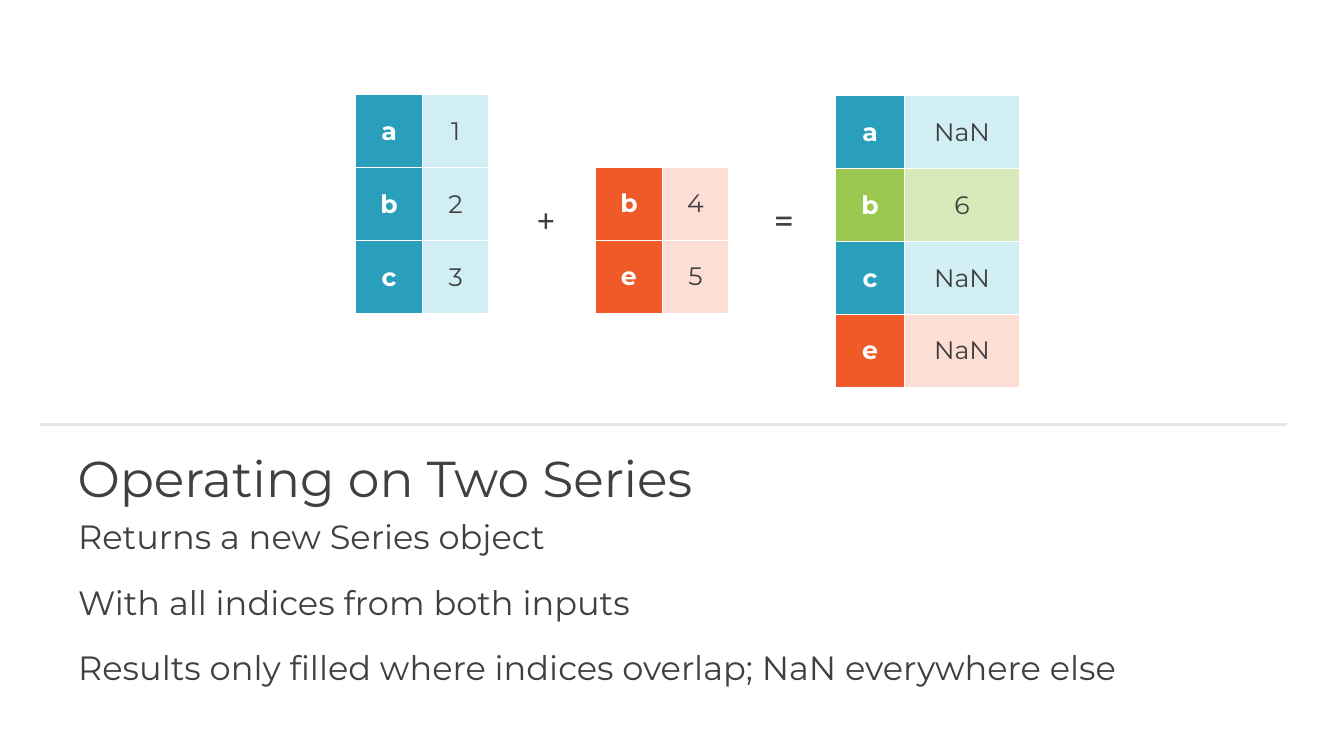
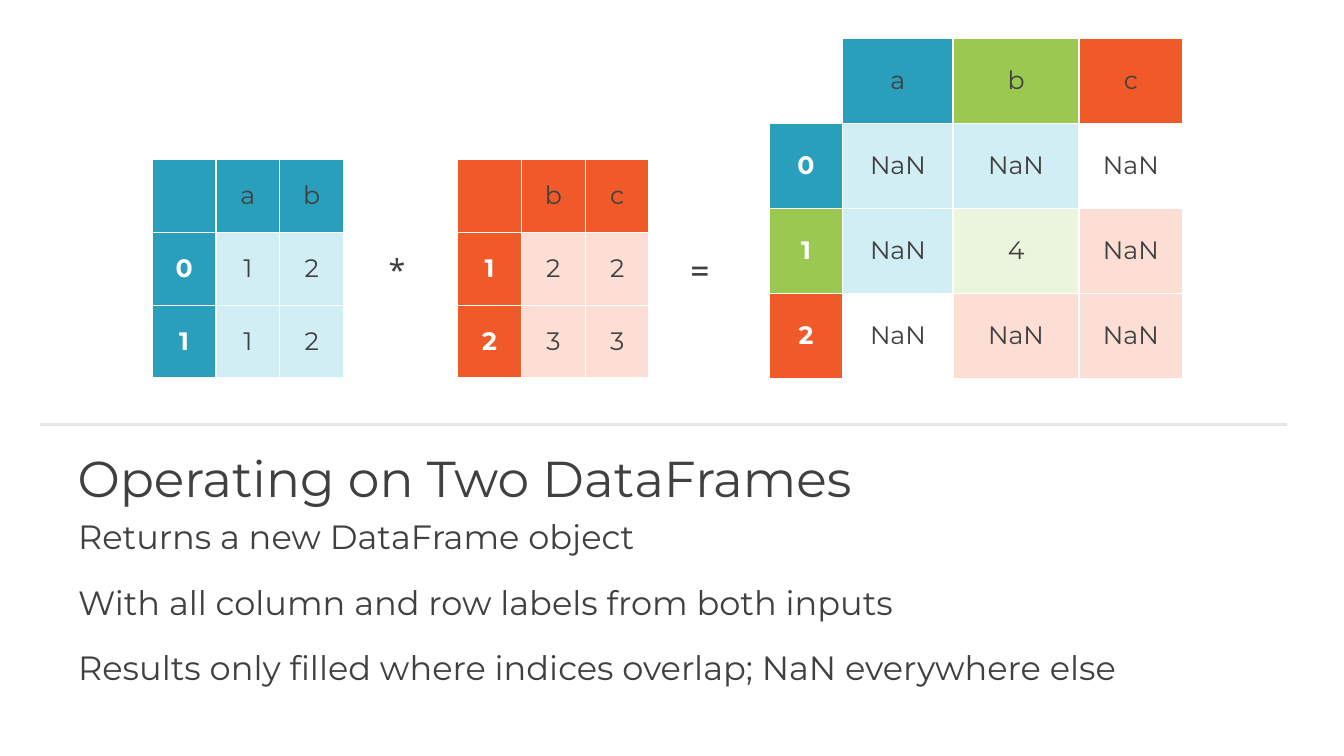
from dataclasses import dataclass, field

from lxml import etree
from pptx import Presentation
from pptx.dml.color import RGBColor
from pptx.enum import shapes, text as txt
from pptx.oxml import ns
from pptx.util import Pt

LEFT, MID = txt.PP_ALIGN.LEFT, txt.PP_ALIGN.CENTER
TOP, CORE, BASE = (txt.MSO_ANCHOR.TOP, txt.MSO_ANCHOR.MIDDLE,
                   txt.MSO_ANCHOR.BOTTOM)


@dataclass(frozen=True)
class Theme:
    font: str = "Montserrat"
    mono: str = "Noto Sans Mono"
    ink: str = "404040"
    white: str = "FFFFFF"
    rule: str = "E5E5E5"
    head: int = 36
    body: int = 24
    cell: int = 18
    # Capitals are label fills, small letters are the matching value fills.
    fills: dict = field(default_factory=lambda: {
        "B": "2A9FBC", "b": "D1EEF5",
        "R": "F05A28", "r": "FCDED4",
        "G": "9BC850", "g": "D7E9B9", "p": "EBF4DC",
        "w": "FFFFFF",
    })


def rgb(code):
    return RGBColor.from_string(code)


def write(frame, text, *, font, size, color, bold=False, align=LEFT,
          before=0, space=1.0):
    """Fill a text frame, one paragraph for each line of text."""
    frame.text = text
    for para in frame.paragraphs:
        para.alignment = align
        para.space_before = Pt(before)
        para.line_spacing = space
        for run in para.runs:
            run.font.name = font
            run.font.size = Pt(size)
            run.font.bold = bold
            run.font.color.rgb = rgb(color)


def fit(frame, inset, anchor):
    """Set the insets (left, top, right, bottom), the anchor and wrapping."""
    (frame.margin_left, frame.margin_top,
     frame.margin_right, frame.margin_bottom) = map(Pt, inset)
    frame.vertical_anchor = anchor
    frame.word_wrap = True
    frame.auto_size = txt.MSO_AUTO_SIZE.NONE


def place(shape, left, top, width, height):
    shape.left, shape.top = Pt(left), Pt(top)
    shape.width, shape.height = Pt(width), Pt(height)


def edge(cell, color):
    """Draw a 1 pt line on all four sides of a cell."""
    props = cell._tc.get_or_add_tcPr()
    for spot, side in enumerate(("lnL", "lnR", "lnT", "lnB")):
        line = etree.Element(ns.qn(f"a:{side}"), w=str(Pt(1)))
        fill = etree.SubElement(line, ns.qn("a:solidFill"))
        etree.SubElement(fill, ns.qn("a:srgbClr"), val=color)
        props.insert(spot, line)


class Deck:
    def __init__(self, theme):
        self.theme = theme
        self.show = Presentation()
        self.show.slide_width, self.show.slide_height = Pt(960), Pt(540)
        self.slide = None

    def page(self, title, points):
        """Start a slide with its divider, title and list."""
        self.slide = self.show.slides.add_slide(self.show.slide_layouts[1])
        self.rule(28.8, 919.4, 303.1)
        self.title(title)
        self.points(points)

    def rule(self, left, right, y):
        line = self.slide.shapes.add_connector(
            shapes.MSO_CONNECTOR.STRAIGHT, Pt(left), Pt(y), Pt(right), Pt(y))
        line.line.color.rgb = rgb(self.theme.rule)
        line.line.width = Pt(2)
        etree.SubElement(line._element.spPr, ns.qn("a:effectLst"))

    def title(self, text):
        shape = self.slide.shapes.title
        place(shape, 55.4, 322.6, 849, 34.6)
        fit(shape.text_frame, (0, 3.6, 7.2, 3.6), TOP)
        write(shape.text_frame, text, font=self.theme.font,
              size=self.theme.head, color=self.theme.ink, space=0.85)

    def points(self, lines):
        shape = self.slide.placeholders[1]
        place(shape, 51.8, 368.6, 855.4, 149)
        fit(shape.text_frame, (4, 0, 0, 0), TOP)
        write(shape.text_frame, "\n".join(lines), font=self.theme.font,
              size=self.theme.body, color=self.theme.ink, before=18)
        for para in shape.text_frame.paragraphs:
            props = para._p.get_or_add_pPr()
            props.set("marL", "0")
            props.set("indent", "0")
            etree.SubElement(props, ns.qn("a:buNone"))

    def sign(self, text, mid, base):
        """Put an operator centred on mid, its line ending at base."""
        box = self.slide.shapes.add_textbox(
            Pt(mid - 20), Pt(base - 34), Pt(40), Pt(34))
        fit(box.text_frame, (0, 0, 0, 0), BASE)
        write(box.text_frame, text, font=self.theme.mono,
              size=self.theme.body, color=self.theme.ink, align=MID)

    def grid(self, left, top, cols, high, rows):
        """Add a table; each row is (fill keys, cell texts)."""
        look = self.theme
        shape = self.slide.shapes.add_table(
            len(rows), len(cols), Pt(left), Pt(top),
            Pt(sum(cols)), Pt(high * len(rows)))
        table = shape.table
        table.first_row = table.horz_banding = False
        for col, width in zip(table.columns, cols):
            col.width = Pt(width)
        for row, (keys, texts) in zip(table.rows, rows):
            row.height = Pt(high)
            for i, (cell, key, text) in enumerate(
                    zip(row.cells, keys, texts)):
                cell.fill.solid()
                cell.fill.fore_color.rgb = rgb(look.fills[key])
                cell.vertical_anchor = CORE
                edge(cell, look.white)
                write(cell.text_frame, text, font=look.font, size=look.cell,
                      color=look.ink if i else look.white,
                      bold=i == 0, align=MID)


def series(deck):
    deck.page("Operating on Two Series", [
        "Returns a new Series object",
        "With all indices from both inputs",
        "Results only filled where indices overlap; NaN everywhere else",
    ])
    pair = [47.5] * 2
    deck.grid(254.2, 67.7, pair, 52.1,
              [("Bb", "a1"), ("Bb", "b2"), ("Bb", "c3")])
    deck.sign("+", 390, 171.4)
    deck.grid(425.5, 119.6, pair, 52.1, [("Rr", "b4"), ("Rr", "e5")])
    deck.sign("=", 560, 171.4)
    deck.grid(596.9, 68.4, [49.2, 82.2], 52.1, [
        ("Bb", ("a", "NaN")),
        ("Gg", ("b", "6")),
        ("Bb", ("c", "NaN")),
        ("Rr", ("e", "NaN")),
    ])


def frames(deck):
    deck.page("Operating on Two DataFrames", [
        "Returns a new DataFrame object",
        "With all column and row labels from both inputs",
        "Results only filled where indices overlap; NaN everywhere else",
    ])
    trio = [45.6] * 3
    deck.grid(108.7, 113.8, trio, 52.1, [
        ("BBB", ("", "a", "b")), ("Bbb", "012"), ("Bbb", "112")])
    deck.sign("*", 283.6, 207.4)
    deck.grid(326.9, 113.8, trio, 52.1, [
        ("RRR", ("", "b", "c")), ("Rrr", "122"), ("Rrr", "233")])
    deck.sign("=", 500, 207.4)
    deck.grid(549.4, 27.4, [52.6, 78.8, 90, 74], 60.7, [
        ("wBGR", ("", "a", "b", "c")),
        ("Bbbw", ("0", "NaN", "NaN", "NaN")),
        ("Gbpr", ("1", "NaN", "4", "NaN")),
        ("Rwrr", ("2", "NaN", "NaN", "NaN")),
    ])


def main():
    deck = Deck(Theme())
    series(deck)
    frames(deck)
    deck.show.save("out.pptx")


if __name__ == "__main__":
    main()
